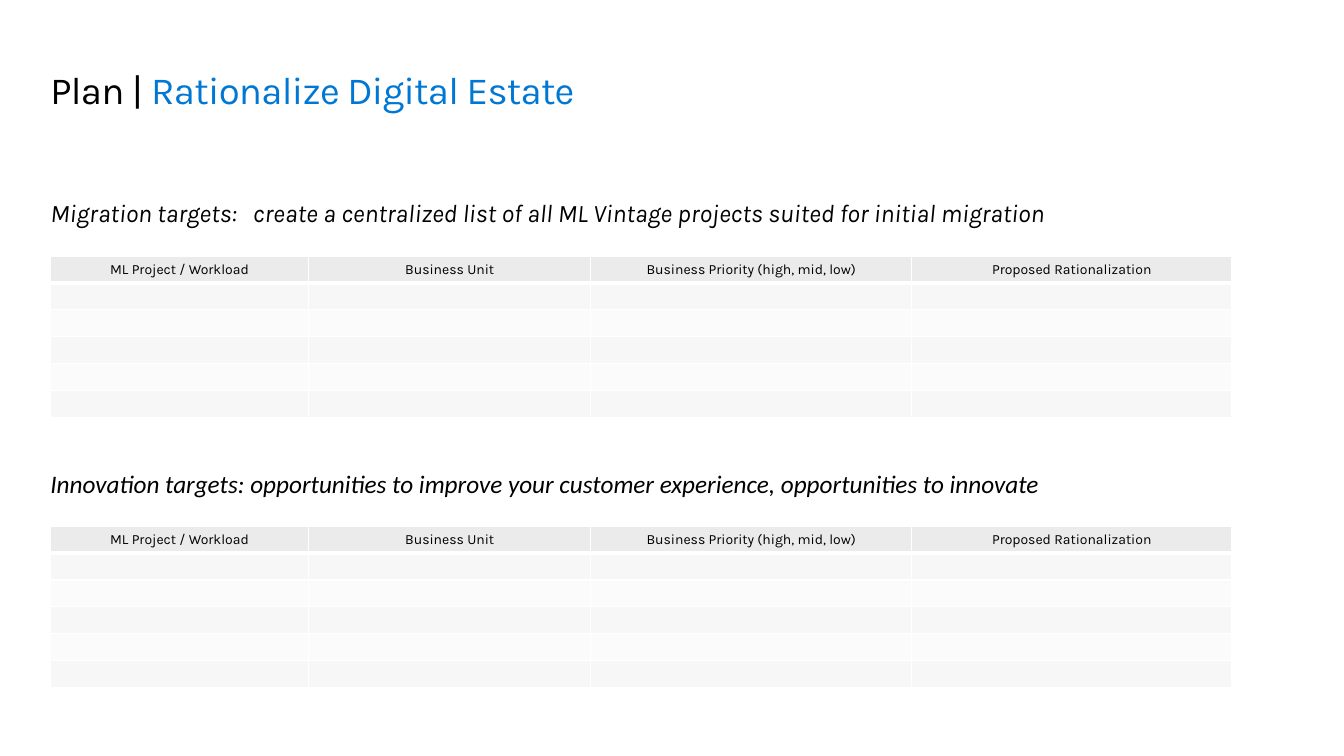
"""Build the digital estate rationalization planning slide."""
from dataclasses import dataclass

from lxml.etree import SubElement
from pptx import Presentation
from pptx.dml.color import RGBColor
from pptx.enum.text import MSO_ANCHOR, MSO_AUTO_SIZE, PP_ALIGN
from pptx.oxml.ns import qn
from pptx.util import Inches, Pt


@dataclass(frozen=True)
class Theme:
    """Hold the colours, fonts and type sizes of the slide."""
    ink: str = "000000"
    accent: str = "0078D3"
    header_fill: str = "EBEBEB"
    odd_fill: str = "F7F7F7"
    even_fill: str = "FBFBFB"
    border: str = "FFFFFF"
    main_font: str = "Karla"
    alternate_font: str = "Calibri"
    title_size: float = 27.4
    heading_size: float = 18
    cell_size: float = 10


THEME = Theme()
LEFT = 0.5
COLUMN_WIDTHS = (2.56, 2.8, 3.18, 3.18)
ROW_COUNT = 6
TABLE_HEIGHT = 1.6
HEADERS = (
    "ML Project / Workload",
    "Business Unit",
    "Business Priority (high, mid, low)",
    "Proposed Rationalization",
)
SECTIONS = (
    (1.94, THEME.main_font,
     "Migration targets:   create a centralized list of all ML Vintage projects suited for initial migration"),
    (4.62, THEME.alternate_font,
     "Innovation targets: opportunities to improve your customer experience, opportunities to innovate"),
)


def add_run(paragraph, text, size, color=THEME.ink, font=THEME.main_font, italic=False):
    """Append a formatted run to a paragraph and return it."""
    run = paragraph.add_run()
    run.text = text
    run.font.size = Pt(size)
    run.font.name = font
    run.font.italic = italic
    run.font.color.rgb = RGBColor.from_string(color)
    return run


def prepare_frame(frame):
    """Remove the insets of a text frame and return its left-aligned first paragraph."""
    frame.margin_left = frame.margin_right = frame.margin_top = frame.margin_bottom = 0
    frame.word_wrap = True
    frame.auto_size = MSO_AUTO_SIZE.SHAPE_TO_FIT_TEXT
    frame.vertical_anchor = MSO_ANCHOR.TOP
    paragraph = frame.paragraphs[0]
    paragraph.alignment = PP_ALIGN.LEFT
    return paragraph


def set_title(slide):
    """Place and fill the two-coloured title."""
    title = slide.shapes.title
    title.left, title.top = Inches(LEFT), Inches(0.68)
    title.width, title.height = Inches(12.36), Inches(0.44)
    paragraph = prepare_frame(title.text_frame)
    paragraph.line_spacing = Pt(31.4)
    for text, color in (("Plan | ", THEME.ink), ("Rationalize Digital Estate", THEME.accent)):
        run = add_run(paragraph, text, THEME.title_size, color)
        run.font._element.set("spc", "-50")


def add_heading(slide, top, font, text):
    """Add the italic heading of a section."""
    heading = slide.shapes.add_textbox(Inches(LEFT), Inches(top), Inches(10.26), Inches(0.31))
    paragraph = prepare_frame(heading.text_frame)
    paragraph.line_spacing = 1.07
    paragraph.space_after = Pt(8)
    add_run(paragraph, text, THEME.heading_size, font=font, italic=True)


def set_borders(cell, top, bottom):
    """Draw the four borders of a cell, with the top and bottom widths in points."""
    properties = cell._tc.get_or_add_tcPr()
    for side, width in (("L", 1), ("R", 1), ("T", top), ("B", bottom)):
        line = SubElement(properties, qn(f"a:ln{side}"), w=str(Pt(width)))
        fill = SubElement(line, qn("a:solidFill"))
        SubElement(fill, qn("a:srgbClr"), val=THEME.border)


def format_cell(cell, row):
    """Set the margins, borders, fill and empty-text size of a cell."""
    cell.margin_top = cell.margin_bottom = Inches(0.02)
    cell.vertical_anchor = MSO_ANCHOR.MIDDLE
    set_borders(cell, top=3 if row == 1 else 1, bottom=3 if row == 0 else 1)
    band = THEME.odd_fill if row % 2 else THEME.even_fill
    cell.fill.solid()
    cell.fill.fore_color.rgb = RGBColor.from_string(band if row else THEME.header_fill)
    paragraph = cell.text_frame.paragraphs[0]
    paragraph.alignment = PP_ALIGN.CENTER
    SubElement(paragraph._p, qn("a:endParaRPr"), sz=str(THEME.cell_size * 100))


def add_target_table(slide, top):
    """Add a table with a header and empty banded rows."""
    table = slide.shapes.add_table(
        ROW_COUNT, len(HEADERS), Inches(LEFT), Inches(top),
        Inches(sum(COLUMN_WIDTHS)), Inches(TABLE_HEIGHT)).table
    for column, width in zip(table.columns, COLUMN_WIDTHS):
        column.width = Inches(width)
    for index, row in enumerate(table.rows):
        row.height = Inches(TABLE_HEIGHT / ROW_COUNT)
        for cell in row.cells:
            format_cell(cell, index)
    for cell, header in zip(table.rows[0].cells, HEADERS):
        add_run(cell.text_frame.paragraphs[0], header, THEME.cell_size)


def main():
    """Build and save the slide."""
    deck = Presentation()
    deck.slide_width, deck.slide_height = Inches(13.33), Inches(7.5)
    slide = deck.slides.add_slide(deck.slide_layouts[5])
    set_title(slide)
    for top, font, text in SECTIONS:
        add_heading(slide, top, font, text)
        add_target_table(slide, top + 0.6)
    deck.save("out.pptx")


if __name__ == "__main__":
    main()
